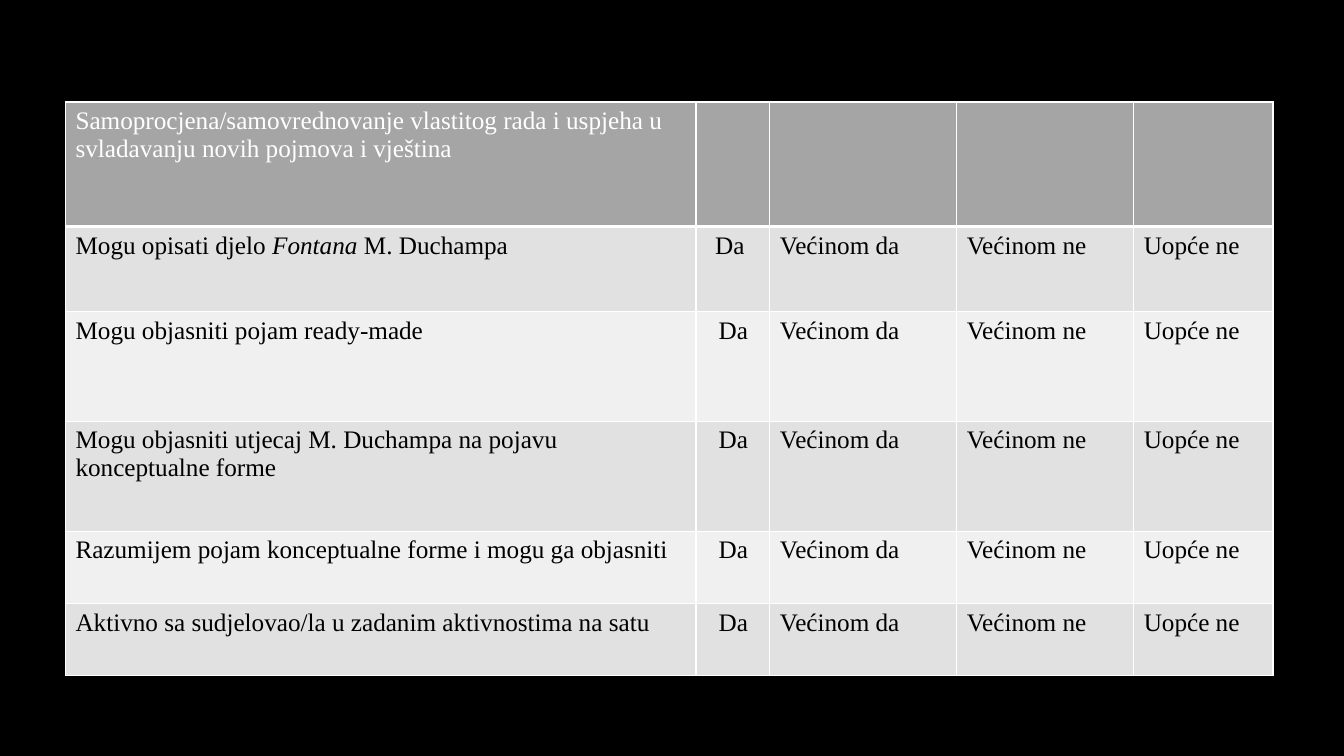
from lxml.etree import SubElement as Sub
from pptx import Presentation
from pptx.dml.color import RGBColor as Rgb
from pptx.enum.text import PP_ALIGN as Align
from pptx.oxml.ns import qn
from pptx.util import Cm, Pt

theme = {
    "back": "000000",
    "head": "A5A5A5",
    "bands": ["E1E1E1", "F0F0F0"],
    "line": "FFFFFF",
    "light": "FFFFFF",
    "dark": "000000",
    "font": "Times New Roman",
    "size": 18,
}
widths = [15.89, 1.86, 4.71, 4.46, 3.51]
heights = [3.14, 2.14, 2.77, 2.77, 1.82, 1.82]
title = "Samoprocjena/samovrednovanje vlastitog rada i uspjeha u svladavanju novih pojmova i vještina"
goals = [
    ["Mogu opisati djelo ", "Fontana", " M. Duchampa"],
    ["Mogu objasniti pojam ready-made"],
    ["Mogu objasniti utjecaj M. Duchampa na pojavu konceptualne forme"],
    ["Razumijem pojam konceptualne forme i mogu ga objasniti"],
    ["Aktivno sa sudjelovao/la u zadanim aktivnostima na satu"],
]
marks = [["Da"], ["Većinom da"], ["Većinom ne"], ["Uopće ne"]]
rows = [[[title], [], [], [], []]] + [[goal] + marks for goal in goals]
rows[1][1] = ["Da "]


def edge(cell, bottom):
    props = cell._tc.get_or_add_tcPr()
    for side, width in {"L": 1, "R": 1, "T": 1, "B": bottom}.items():
        line = Sub(props, qn(f"a:ln{side}"), w=str(Pt(width)))
        Sub(Sub(line, qn("a:solidFill")), qn("a:srgbClr"), val=theme["line"])


def write(cell, parts, color):
    para = cell.text_frame.paragraphs[0]
    para.font.size = Pt(theme["size"])
    for part in parts:
        run = para.add_run()
        run.text = part
        look = {"name": theme["font"], "size": Pt(theme["size"]),
                "bold": False, "italic": part == "Fontana"}
        for key, value in look.items():
            setattr(run.font, key, value)
        run.font.color.rgb = Rgb.from_string(color)


deck = Presentation()
deck.slide_width, deck.slide_height = Cm(33.87), Cm(19.05)
slide = deck.slides.add_slide(deck.slide_layouts[6])
back = slide.background.fill
back.solid()
back.fore_color.rgb = Rgb.from_string(theme["back"])

table = slide.shapes.add_table(
    len(rows), len(widths), Cm(1.65), Cm(2.57), Cm(sum(widths)), Cm(sum(heights))
).table
for col, width in zip(table.columns, widths):
    col.width = Cm(width)
for row, height in zip(table.rows, heights):
    row.height = Cm(height)

for r, row in enumerate(rows):
    fill = theme["bands"][(r - 1) % 2] if r else theme["head"]
    color = theme["dark"] if r else theme["light"]
    for c, parts in enumerate(row):
        cell = table.cell(r, c)
        edge(cell, 1 if r else 3)
        cell.fill.solid()
        cell.fill.fore_color.rgb = Rgb.from_string(fill)
        write(cell, parts, color)
        if c == 1 and r > 1:
            cell.margin_left = Cm(0.57)

for c, align in enumerate([Align.JUSTIFY, Align.CENTER]):
    table.cell(1, c).text_frame.paragraphs[0].alignment = align

deck.save("out.pptx")
